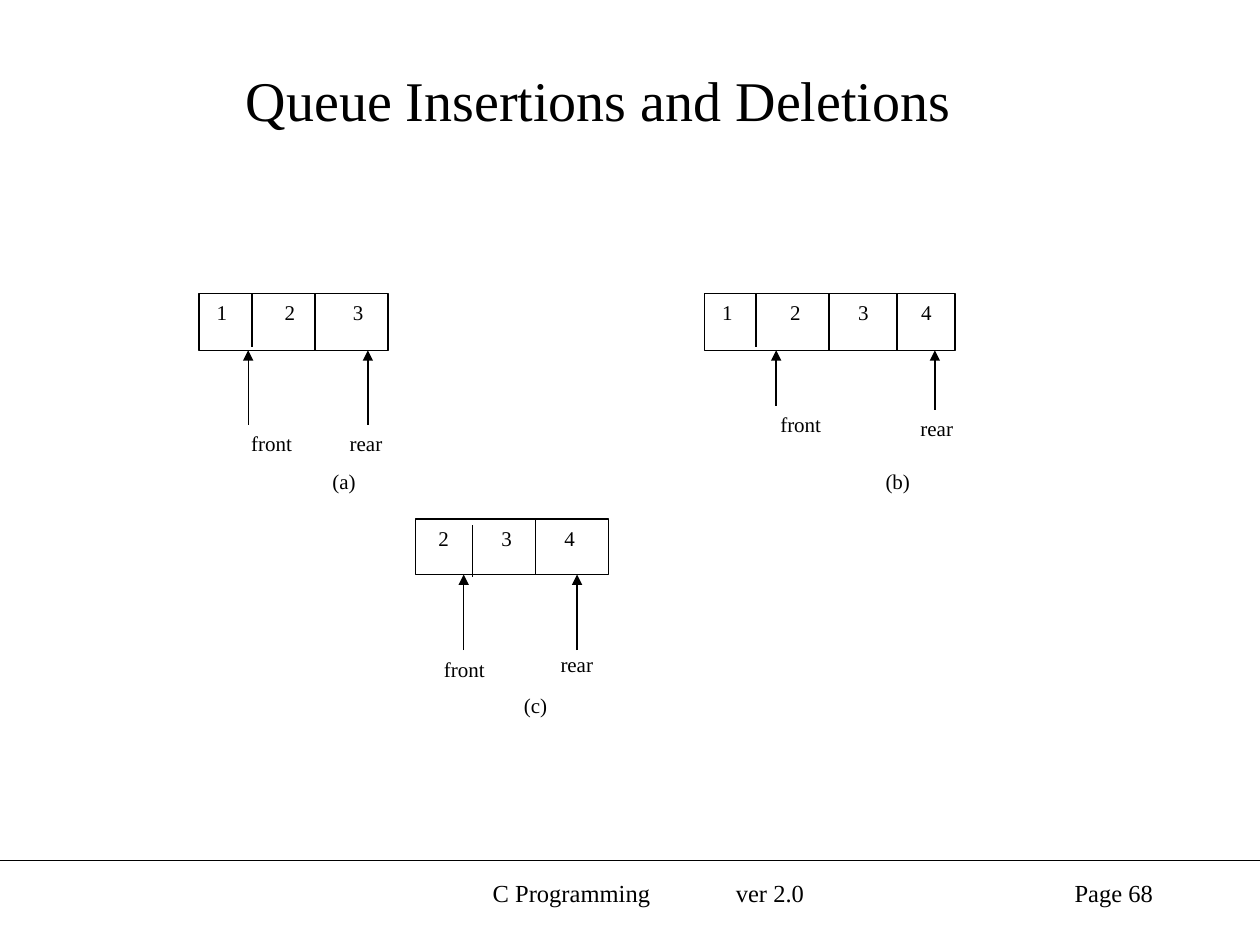
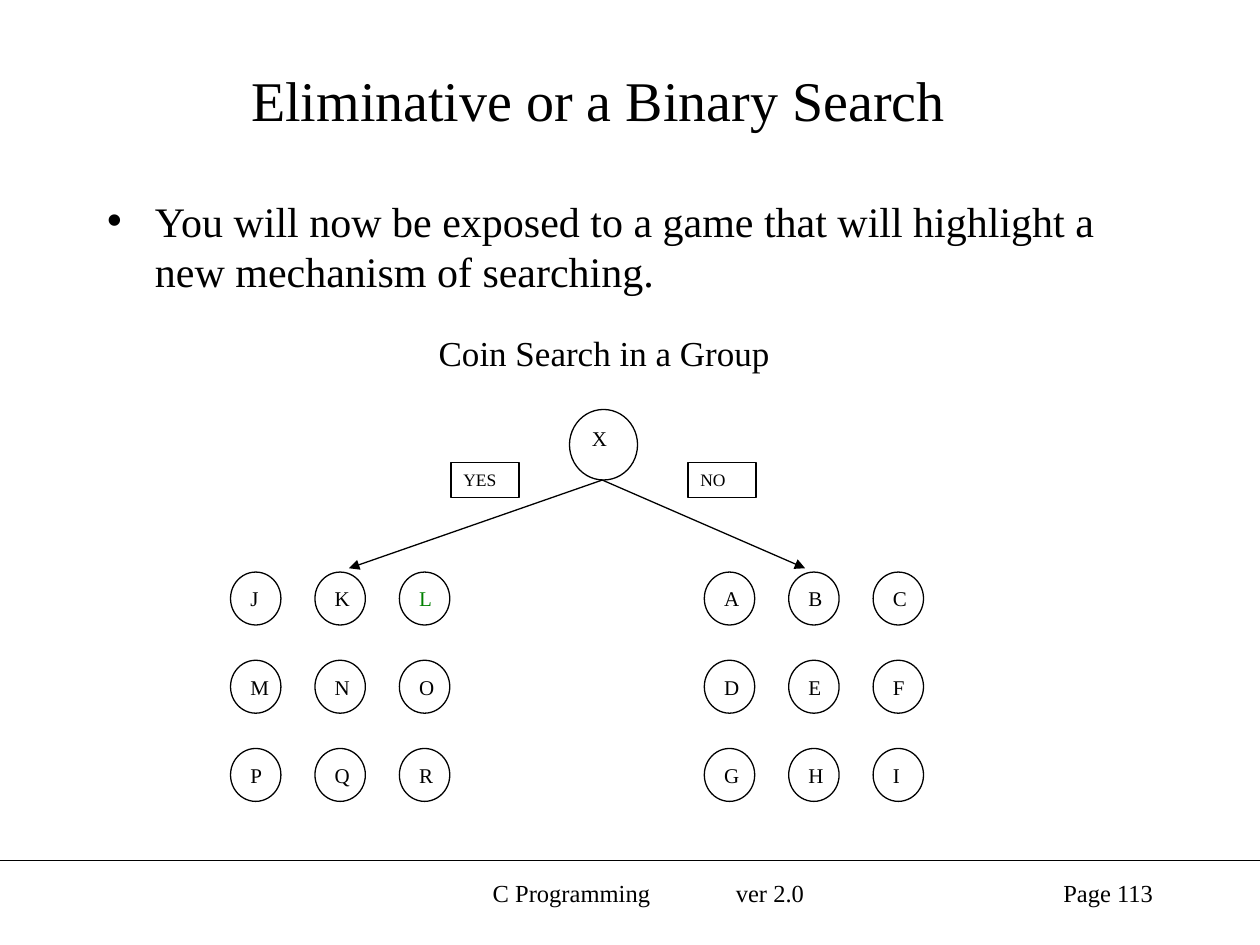
from lxml import etree
from pptx import Presentation
from pptx import util as u
from pptx.dml.color import RGBColor
from pptx.enum import shapes, text
from pptx.oxml.ns import qn

# Shared look
COLORS = {"ink": "000000", "paper": "FFFFFF", "found": "008000"}
FONT = "Times New Roman"
LINE_WIDTH = 0.75
LEFT, CENTER, RIGHT = text.PP_ALIGN.LEFT, text.PP_ALIGN.CENTER, text.PP_ALIGN.RIGHT

# Queue slide: boxes are (left, top, width, height), labels (left, top, alignment),
# dividers (x, top, bottom), arrows (x, start)
QUEUE_TITLE, QUEUE_PAGE = "Queue Insertions and Deletions", 68
QUEUES = [
    {"items": "123", "box": (1.58, 2.33, 1.5, 0.45), "inset": 0.14, "tabs": [0.54, 1.08],
     "dividers": [(2, 2.33, 2.75), (2.5, 2.33, 2.78)],
     "labels": {"rear": (2.33, 3.37, CENTER), "front": (1.58, 3.37, CENTER)},
     "arrows": [(1.97, 3.37), (2.92, 3.37)], "caption": ("(a)", 2.54, 3.67)},
    {"items": "1234", "box": (5.59, 2.33, 1.99, 0.45), "inset": 0.14, "tabs": [0.54, 1.08, 1.58],
     "dividers": [(6, 2.33, 2.75), (6.58, 2.33, 2.78), (7.12, 2.33, 2.78)],
     "labels": {"rear": (6.86, 3.25, CENTER), "front": (5.78, 3.22, CENTER)},
     "arrows": [(6.16, 3.22), (7.42, 3.25)], "caption": ("(b)", 6.93, 3.67)},
    {"items": "234", "box": (3.3, 4.12, 1.53, 0.44), "inset": 0.18, "tabs": [0.5, 1],
     "dividers": [(3.75, 4.17, 4.58), (4.25, 4.12, 4.56)],
     "labels": {"rear": (4.35, 5.12, LEFT), "front": (3.11, 5.16, CENTER)},
     "arrows": [(3.68, 5.16), (4.58, 5.16)], "caption": ("(c)", 4.06, 5.45)},
]

# Search slide
SEARCH_TITLE, SEARCH_PAGE = "Eliminative or a Binary Search", 113
SEARCH_INTRO = "You will now be exposed to a game that will highlight a new mechanism of searching."
GAME_TITLE = "Coin Search in a Group"
FOUND_COIN = "L"
ROOT_BOX = (4.52, 3.25, 0.54, 0.56)
ROOT_FOOT = (4.78, 3.81)
BRANCHES = [
    {"answer": "YES", "answer_left": 3.58, "tip": (2.77, 4.51), "left": 1.83, "coins": "JKLMNOPQR"},
    {"answer": "NO", "answer_left": 5.46, "tip": (6.39, 4.51), "left": 5.59, "coins": "ABCDEFGHI"},
]
COIN_TOP, COIN_SIZE, COIN_PITCH, COIN_COLUMNS = 4.54, (0.4, 0.42), (0.67, 0.7), 3


def rgb(name):
    return RGBColor.from_string(COLORS[name])


def place(shape, box):
    shape.left, shape.top, shape.width, shape.height = map(u.Inches, box)


def write(shape, words, size, align=LEFT, color="ink", anchor=text.MSO_ANCHOR.TOP,
          tabs=(), inset=0.1):
    """Fill a shape with one formatted paragraph and return the paragraph."""
    frame = shape.text_frame
    frame.text = words
    frame.word_wrap = True
    frame.auto_size = text.MSO_AUTO_SIZE.NONE
    frame.vertical_anchor = anchor
    frame.margin_left = u.Inches(inset)
    frame.margin_right = u.Inches(0.1)
    frame.margin_top = frame.margin_bottom = u.Inches(0.05)
    para = frame.paragraphs[0]
    para.alignment = align
    para.space_before = u.Pt(0)
    if tabs:
        stops = etree.SubElement(para._p.get_or_add_pPr(), qn("a:tabLst"))
        for stop in tabs:
            etree.SubElement(stops, qn("a:tab"), pos=str(u.Inches(stop)), algn="l")
    for span in para.runs:
        span.font.name = FONT
        span.font.size = u.Pt(size)
        span.font.color.rgb = rgb(color)
    return para


def add_text(page, box, words, size, **style):
    write(page.shapes.add_textbox(*map(u.Inches, box)), words, size, **style)


def add_box(page, box, words, size=12, kind="RECTANGLE", outlined=True, **style):
    shape = page.shapes.add_shape(shapes.MSO_SHAPE[kind], *map(u.Inches, box))
    shape.shadow.inherit = False
    shape.fill.solid()
    shape.fill.fore_color.rgb = rgb("paper")
    if outlined:
        shape.line.color.rgb = rgb("ink")
        shape.line.width = u.Pt(LINE_WIDTH)
    else:
        shape.line.fill.background()
    write(shape, words, size, **style)


def add_line(page, start, end, arrow=False):
    line = page.shapes.add_connector(shapes.MSO_CONNECTOR.STRAIGHT,
                                     *map(u.Inches, (*start, *end)))
    line.line.color.rgb = rgb("ink")
    line.line.width = u.Pt(LINE_WIDTH)
    if arrow:
        etree.SubElement(line.line._get_or_add_ln(), qn("a:tailEnd"), type="triangle")
    etree.SubElement(line._element.spPr, qn("a:effectLst"))


def add_page(deck, layout, title, number):
    """Start a slide with the shared title, rule and footer."""
    page = deck.slides.add_slide(deck.slide_layouts.get_by_name(layout))
    add_line(page, (0, 6.83), (10, 6.83))
    add_text(page, (3.42, 6.92, 3.42, 0.5), "C Programming\tver 2.0", 14, tabs=[1.93], inset=0.49)
    add_text(page, (7.17, 6.92, 2.08, 0.5), f"Page {number}", 14, align=RIGHT)
    place(page.shapes.title, (0.5, 0.25, 8.5, 1.08))
    write(page.shapes.title, title, 32, align=CENTER, anchor=text.MSO_ANCHOR.MIDDLE)
    return page


def draw_queue(page, queue):
    left, top, width, height = queue["box"]
    for name, (x, y, align) in queue["labels"].items():
        add_box(page, (x, y, 1.15, 0.3), name, outlined=False, align=align)
    add_box(page, queue["box"], "\t".join(queue["items"]),
            tabs=queue["tabs"], inset=queue["inset"])
    for x, start, end in queue["dividers"]:
        add_line(page, (x, start), (x, end))
    for x, start in queue["arrows"]:
        add_line(page, (x, start), (x, top + height), arrow=True)
    caption, x, y = queue["caption"]
    add_box(page, (x, y, 0.76, 0.3), caption, outlined=False)


def draw_branch(page, branch):
    for index, coin in enumerate(branch["coins"]):
        row, column = divmod(index, COIN_COLUMNS)
        x = branch["left"] + column * COIN_PITCH[0]
        y = COIN_TOP + row * COIN_PITCH[1]
        add_box(page, (x, y, *COIN_SIZE), coin, kind="OVAL",
                color="found" if coin == FOUND_COIN else "ink")
    add_line(page, ROOT_FOOT, branch["tip"], arrow=True)
    add_box(page, (branch["answer_left"], 3.67, 0.54, 0.28), branch["answer"], size=10)


def build_queue_page(deck):
    page = add_page(deck, "Title Only", QUEUE_TITLE, QUEUE_PAGE)
    for queue in QUEUES:
        draw_queue(page, queue)


def build_search_page(deck):
    page = add_page(deck, "Title and Content", SEARCH_TITLE, SEARCH_PAGE)

    # Bulleted introduction
    body = page.placeholders[1]
    place(body, (0.75, 1.5, 8.5, 5.17))
    props = write(body, SEARCH_INTRO, 24)._p.get_or_add_pPr()
    props.set("marL", str(u.Inches(0.38)))
    props.set("indent", str(u.Inches(-0.38)))
    etree.SubElement(props, qn("a:buChar"), char="•")

    # Search tree
    add_box(page, ROOT_BOX, "X", kind="OVAL")
    for branch in BRANCHES:
        draw_branch(page, branch)
    add_text(page, (1.92, 2.58, 5.75, 0.44), GAME_TITLE, 20, align=CENTER)


def main():
    deck = Presentation()
    deck.slide_width, deck.slide_height = u.Inches(10), u.Inches(7.5)
    build_queue_page(deck)
    build_search_page(deck)
    deck.save("out.pptx")


if __name__ == "__main__":
    main()
